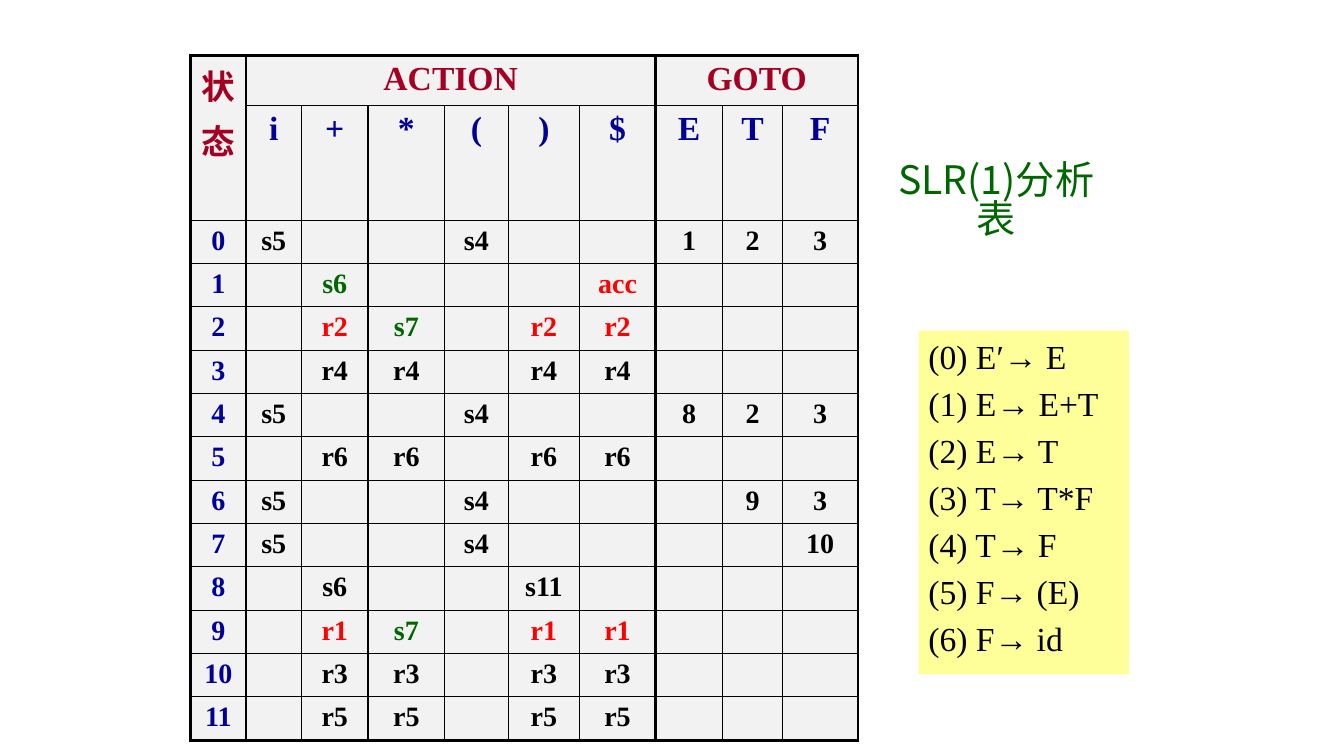
from dataclasses import dataclass

import pptx
import pptx.dml.color
import pptx.enum.shapes
import pptx.enum.text
import pptx.oxml.ns
import pptx.util
from lxml import etree

Inches = pptx.util.Inches
Pt = pptx.util.Pt
qn = pptx.oxml.ns.qn
CENTER = pptx.enum.text.PP_ALIGN.CENTER
LEFT = pptx.enum.text.PP_ALIGN.LEFT


@dataclass(frozen=True)
class Theme:
    heading: str = "A50021"
    symbol: str = "000099"
    shift: str = "006600"
    reduce: str = "FF0000"
    ink: str = "000000"
    cell: str = "F2F2F2"
    note: str = "FFFF99"
    serif: str = "Times New Roman"
    sans: str = "Noto Sans CJK JP"
    title_size: float = 28
    large_size: float = 24
    entry_size: float = 20
    thin: float = 1
    thick: float = 2.25


THEME = Theme()

# Parse table content: a dot is an empty entry
SYMBOLS = "i + * ( ) $ E T F".split()
ENTRIES = [
    "s5 . . s4 . . 1 2 3",
    ". s6 . . . acc . . .",
    ". r2 s7 . r2 r2 . . .",
    ". r4 r4 . r4 r4 . . .",
    "s5 . . s4 . . 8 2 3",
    ". r6 r6 . r6 r6 . . .",
    "s5 . . s4 . . . 9 3",
    "s5 . . s4 . . . . 10",
    ". s6 . . s11 . . . .",
    ". r1 s7 . r1 r1 . . .",
    ". r3 r3 . r3 r3 . . .",
    ". r5 r5 . r5 r5 . . .",
]
HIGHLIGHTED_STATES = {1, 2, 9}
COLUMN_WIDTHS = [0.55, 0.55, 0.66, 0.76, 0.63, 0.71, 0.66, 0.67, 0.59, 0.75]
COLUMN_WIDTHS[6] = 0.75
HEADER_HEIGHTS = [0.5, 0.97]
STATE_HEIGHT = 0.43
GOTO_COLUMN = 7

PRODUCTIONS = ["(0) E′→ E", "(1) E→ E+T", "(2) E→ T", "(3) T→ T*F",
               "(4) T→ F", "(5) F→ (E)", "(6) F→ id"]


def rgb(value):
    return pptx.dml.color.RGBColor.from_string(value)


def set_all(target, formats):
    for name, value in formats.items():
        setattr(target, name, value)


def write(frame, lines, size, color, font=THEME.serif, bold=False, align=CENTER):
    """Fill a text frame with one paragraph per line, 20% space before each."""
    for index, line in enumerate(lines):
        paragraph = frame.paragraphs[0] if index == 0 else frame.add_paragraph()
        paragraph.alignment = align
        before = etree.SubElement(paragraph._p.get_or_add_pPr(), qn("a:spcBef"))
        etree.SubElement(before, qn("a:spcPct"), val="20000")
        run = paragraph.add_run()
        run.text = line
        set_all(run.font, {"size": Pt(size), "bold": bold, "name": font})
        run.font.color.rgb = rgb(color)
        if font == THEME.sans:
            etree.SubElement(run.font._element, qn("a:ea"), typeface=font)


def draw_borders(cell, widths):
    properties = cell._tc.get_or_add_tcPr()
    for side, width in widths.items():
        line = etree.SubElement(properties, qn(f"a:ln{side}"), w=str(Pt(width)))
        fill = etree.SubElement(line, qn("a:solidFill"))
        etree.SubElement(fill, qn("a:srgbClr"), val=THEME.ink)


def style_cells(table):
    last_row, last_column = len(table.rows) - 1, len(table.columns) - 1
    for row in range(last_row + 1):
        for column in range(last_column + 1):
            cell = table.cell(row, column)
            end = column + (cell.span_width if cell.is_merge_origin else 1)
            heavy = {
                "L": column in (0, GOTO_COLUMN),
                "R": end in (GOTO_COLUMN, last_column + 1),
                "T": row == 0,
                "B": row == last_row,
            }
            draw_borders(cell, {side: THEME.thick if on else THEME.thin
                                for side, on in heavy.items()})
            cell.fill.solid()
            cell.fill.fore_color.rgb = rgb(THEME.cell)


def entry_color(state, entry):
    if state not in HIGHLIGHTED_STATES:
        return THEME.ink
    return THEME.shift if entry.startswith("s") else THEME.reduce


def add_parse_table(slide):
    heights = HEADER_HEIGHTS + [STATE_HEIGHT] * len(ENTRIES)
    table = slide.shapes.add_table(
        len(heights), len(COLUMN_WIDTHS), Inches(1.89), Inches(0.55),
        Inches(sum(COLUMN_WIDTHS)), Inches(sum(heights))).table
    set_all(table, {"first_row": False, "horz_banding": False})
    for column, width in zip(table.columns, COLUMN_WIDTHS):
        column.width = Inches(width)
    for row, height in zip(table.rows, heights):
        row.height = Inches(height)

    # Merged headings: first cell, last cell, lines
    for first, last, lines in [((0, 0), (1, 0), ["状", "态"]),
                               ((0, 1), (0, 6), ["ACTION"]),
                               ((0, 7), (0, 9), ["GOTO"])]:
        heading = table.cell(*first)
        heading.merge(table.cell(*last))
        write(heading.text_frame, lines, THEME.large_size, THEME.heading, bold=True)
    style_cells(table)

    # Grammar symbols
    for column, symbol in enumerate(SYMBOLS, start=1):
        write(table.cell(1, column).text_frame, [symbol],
              THEME.large_size, THEME.symbol, bold=True)

    # States and their entries
    for state, entries in enumerate(ENTRIES):
        row = state + len(HEADER_HEIGHTS)
        write(table.cell(row, 0).text_frame, [str(state)],
              THEME.entry_size, THEME.symbol, bold=True)
        for column, entry in enumerate(entries.split(), start=1):
            if entry != ".":
                write(table.cell(row, column).text_frame, [entry],
                      THEME.entry_size, entry_color(state, entry), bold=True)


def add_title(slide):
    title = slide.shapes.add_textbox(
        Inches(8.67), Inches(1.57), Inches(2.42), Inches(1.04))
    title.text_frame.word_wrap = True
    write(title.text_frame, ["SLR(1)分析表"], THEME.title_size, THEME.shift, THEME.sans)
    title.text_frame.paragraphs[0].line_spacing = 0.83


def add_grammar(slide):
    grammar = slide.shapes.add_shape(
        pptx.enum.shapes.MSO_SHAPE.RECTANGLE,
        Inches(9.11), Inches(3.28), Inches(2.09), Inches(3.41))
    grammar.shadow.inherit = False
    grammar.fill.solid()
    grammar.fill.fore_color.rgb = rgb(THEME.note)
    grammar.line.fill.background()
    set_all(grammar.text_frame, {
        "word_wrap": True,
        "vertical_anchor": pptx.enum.text.MSO_ANCHOR.TOP,
        "auto_size": pptx.enum.text.MSO_AUTO_SIZE.SHAPE_TO_FIT_TEXT,
    })
    write(grammar.text_frame, PRODUCTIONS, THEME.large_size, THEME.ink, align=LEFT)


def main():
    deck = pptx.Presentation()
    set_all(deck, {"slide_width": Inches(13.33), "slide_height": Inches(7.5)})
    slide = deck.slides.add_slide(deck.slide_layouts[6])
    add_parse_table(slide)
    add_title(slide)
    add_grammar(slide)
    deck.save("out.pptx")


if __name__ == "__main__":
    main()
